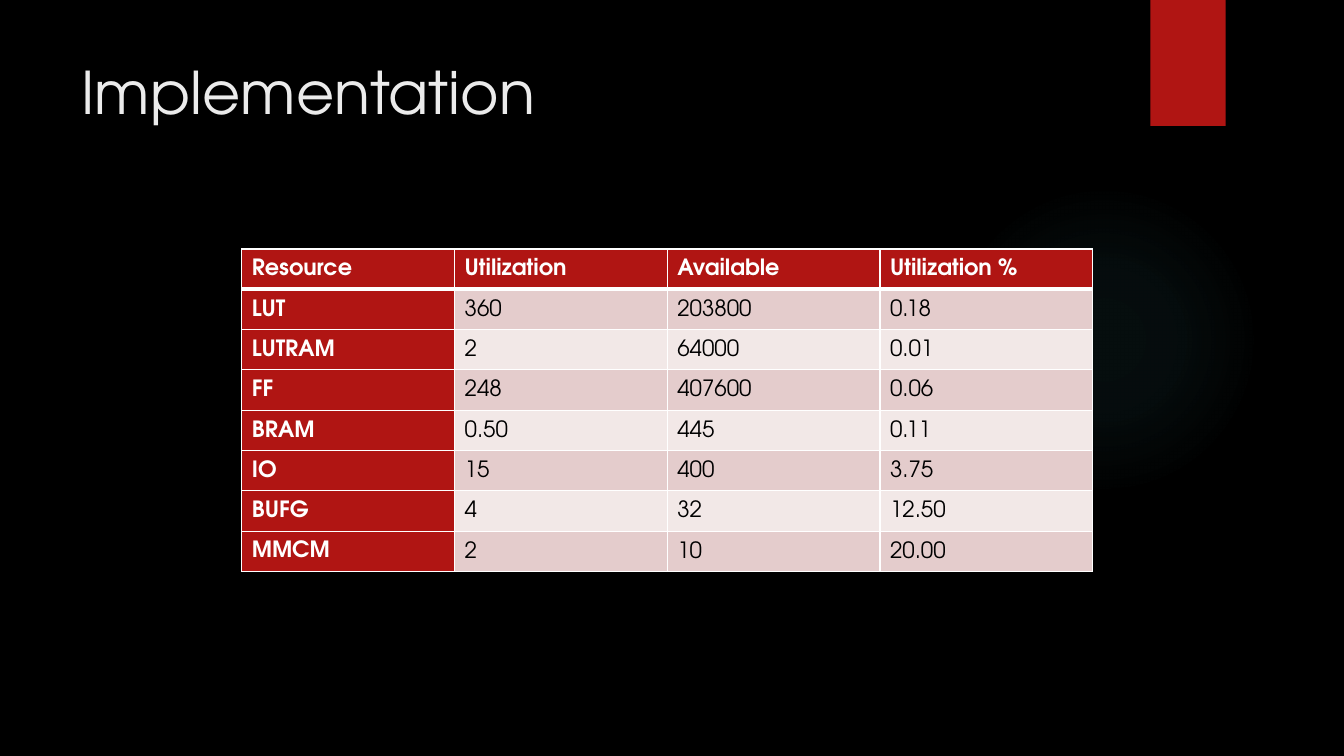
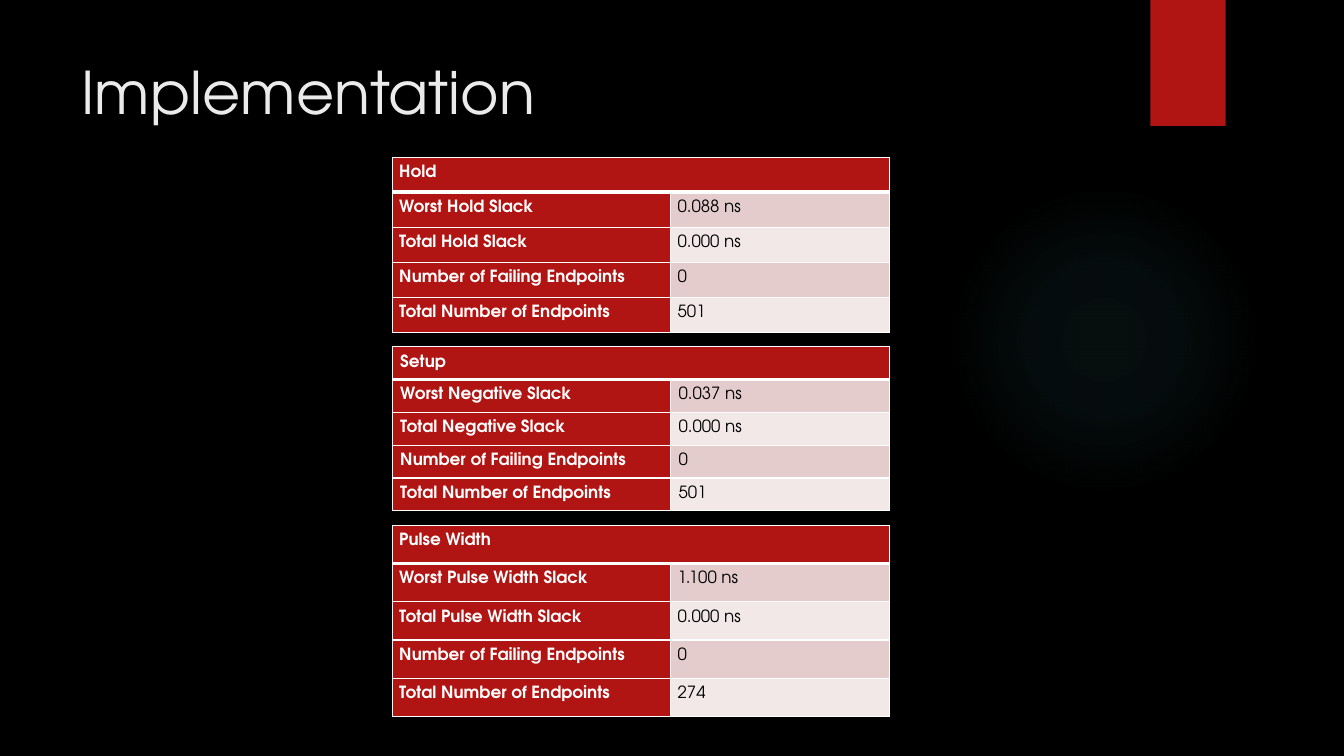
from dataclasses import dataclass
from itertools import product

from pptx import Presentation
from pptx.dml.color import RGBColor
from pptx.enum.shapes import MSO_SHAPE
from pptx.oxml import parse_xml
from pptx.oxml.ns import nsdecls
from pptx.util import Inches, Pt


@dataclass(frozen=True)
class Theme:
    font: str = "TeX Gyre Adventor"
    black: str = "000000"
    white: str = "FFFFFF"
    red: str = "B01513"
    pale: str = "EBEBEB"
    glow: str = "50B9C1"
    bands: tuple = ("F2E8E7", "E4CCCC")
    title: int = 42
    large: int = 16
    small: int = 12
    thin: int = 1
    thick: int = 3


THEME = Theme()
WIDE, HIGH = Inches(13.33), Inches(7.5)

# Boxes are left, top, width, height in percent of the slide.
GLOW = (70.58, 24.4, 23.1, 41.07)
TAB = (85.6, 0, 5.6, 16.67)
TITLE = (5.33, 6.67, 77.2, 20.4)
USAGE = (18, 32.93, 63.3, 38.6)
STACK = (29.18, 20.8, 37, 74)
GAP = 1.87

RESOURCES = [
    ("Resource", "Utilization", "Available", "Utilization %"),
    ("LUT", "360", "203800", "0.18"),
    ("LUTRAM", "2", "64000", "0.01"),
    ("FF", "248", "407600", "0.06"),
    ("BRAM", "0.50", "445", "0.11"),
    ("IO", "15", "400", "3.75"),
    ("BUFG", "4", "32", "12.50"),
    ("MMCM", "2", "10", "20.00"),
]

# Heading, slack name, worst slack, endpoints, height, label share, inset
TIMING = [
    ("Hold", "Hold", "0.088 ns", "501", 23.2, 0.56, 0.07),
    ("Setup", "Negative", "0.037 ns", "501", 21.73, 0.56, 0.08),
    ("Pulse Width", "Pulse Width", "1.100 ns", "274", 25.33, 0.56, 0.07),
]


def scale(box):
    """Turn a box in percent into slide lengths."""
    return [int(part * side / 100) for part, side in zip(box, (WIDE, HIGH) * 2)]


def tint(code):
    return RGBColor.from_string(code)


def style(para, size, color, bold=False):
    for run in para.runs:
        font = run.font
        font.name, font.size, font.bold = THEME.font, Pt(size), bold
        font.color.rgb = tint(color)


def draw(slide, kind, box, color):
    shape = slide.shapes.add_shape(kind, *scale(box))
    shape.shadow.inherit = False
    shape.line.fill.background()
    shape.fill.solid()
    shape.fill.fore_color.rgb = tint(color)
    return shape


def shine(slide, box):
    """Place a faint light that fades out from its centre."""
    shape = draw(slide, MSO_SHAPE.OVAL, box, THEME.glow)
    stops = "".join(
        f'<a:gs pos="{pos * 1000}"><a:srgbClr val="{THEME.glow}">'
        f'<a:alpha val="{alpha * 1000}"/></a:srgbClr></a:gs>'
        for pos, alpha in ((0, 7), (36, 6), (69, 0))
    )
    fade = parse_xml(
        f'<a:gradFill {nsdecls("a")} rotWithShape="1"><a:gsLst>{stops}</a:gsLst>'
        '<a:path path="circle"><a:fillToRect l="50000" t="50000" r="50000" b="50000"/>'
        "</a:path></a:gradFill>"
    )
    props = shape.element.spPr
    props.replace(props.find("{*}solidFill"), fade)


def head(slide, box, text):
    frame = slide.shapes.add_textbox(*scale(box)).text_frame
    frame.word_wrap = True
    frame.text = text
    style(frame.paragraphs[0], THEME.title, THEME.pale)


def base(deck, title):
    """Add a slide with the shared backdrop and title."""
    slide = deck.slides.add_slide(deck.slide_layouts[6])
    slide.background.fill.solid()
    slide.background.fill.fore_color.rgb = tint(THEME.black)
    shine(slide, GLOW)
    draw(slide, MSO_SHAPE.RECTANGLE, TAB, THEME.red)
    head(slide, TITLE, title)
    return slide


def edge(cell, row):
    """Rule a cell, with a thick line under the header row."""
    props = cell._tc.get_or_add_tcPr()
    thick = {"T": row == 1, "B": row == 0}
    for side in "LRTB":
        width = THEME.thick if thick.get(side) else THEME.thin
        props.append(parse_xml(
            f'<a:ln{side} {nsdecls("a")} w="{Pt(width)}"><a:solidFill>'
            f'<a:srgbClr val="{THEME.white}"/></a:solidFill></a:ln{side}>'
        ))


def grid(slide, box, rows, shares, size, inset):
    """Fill a box with a table whose first row and column are red."""
    left, top, width, height = scale(box)
    table = slide.shapes.add_table(
        len(rows), len(shares), left, top, width, height).table
    for col, share in zip(table.columns, shares):
        col.width = int(width * share)
    for line in table.rows:
        line.height = height // len(rows)
    for row, col in product(range(len(rows)), range(len(shares))):
        cell = table.cell(row, col)
        lead = row == 0 or col == 0
        edge(cell, row)
        cell.fill.solid()
        cell.fill.fore_color.rgb = tint(THEME.red if lead else THEME.bands[row % 2])
        cell.margin_left = cell.margin_right = Inches(inset)
        cell.margin_top = cell.margin_bottom = 0
        if col < len(rows[row]):
            cell.text_frame.text = rows[row][col]
            para = cell.text_frame.paragraphs[0]
            para.line_spacing = 1.5
            style(para, size, THEME.white if lead else THEME.black, lead)
    if len(rows[0]) == 1:
        table.cell(0, 0).merge(table.cell(0, len(shares) - 1))


def stack(slide, box):
    """Set the timing tables below each other in the box."""
    left, top, width, _ = box
    for name, slack, worst, ends, height, share, inset in TIMING:
        rows = [
            (name,),
            (f"Worst {slack} Slack", worst),
            (f"Total {slack} Slack", "0.000 ns"),
            ("Number of Failing Endpoints", "0"),
            ("Total Number of Endpoints", ends),
        ]
        grid(slide, (left, top, width, height), rows,
             (share, 1 - share), THEME.small, inset)
        top += height + GAP


def main():
    deck = Presentation()
    deck.slide_width, deck.slide_height = WIDE, HIGH
    title = "Implementation"
    grid(base(deck, title), USAGE, RESOURCES, [0.25] * 4, THEME.large, 0.1)
    stack(base(deck, title), STACK)
    deck.save("out.pptx")


if __name__ == "__main__":
    main()
